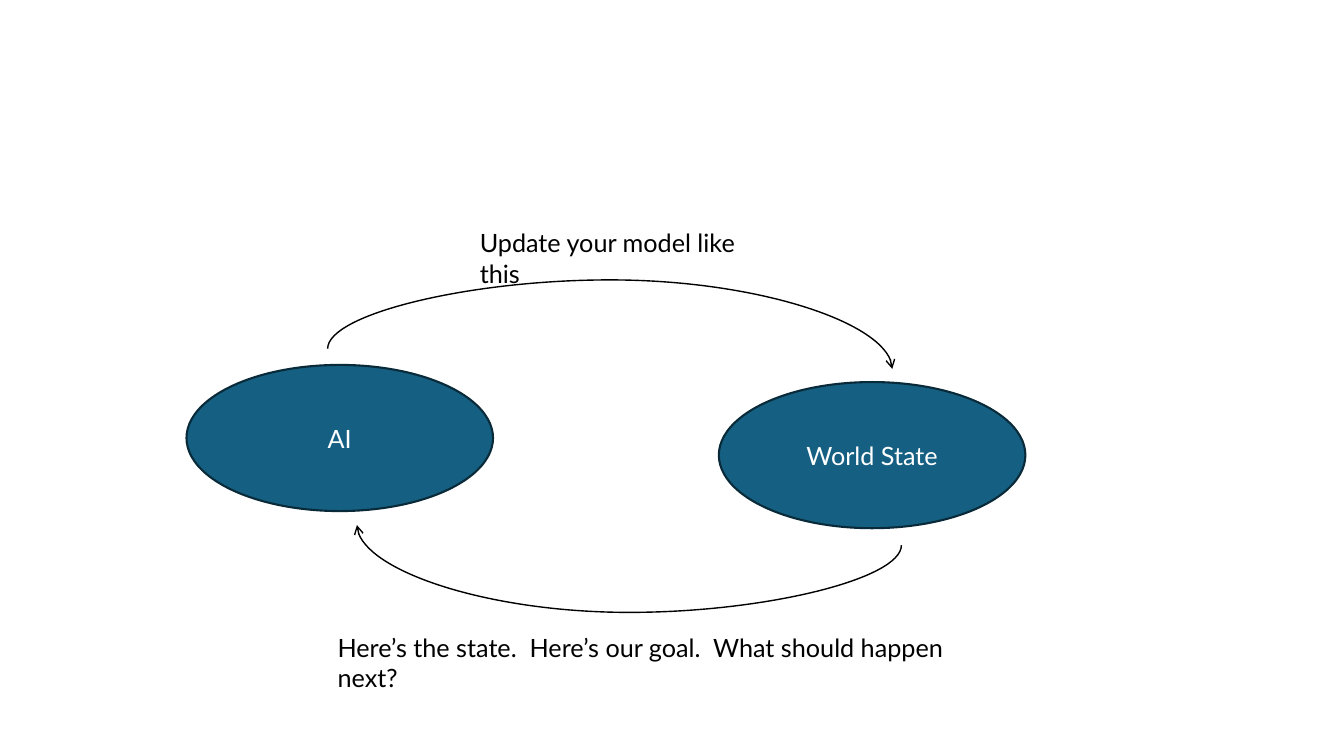
from typing import NamedTuple

from lxml.etree import SubElement
from pptx import Presentation
from pptx.dml.color import RGBColor
from pptx.enum.shapes import MSO_CONNECTOR, MSO_SHAPE
from pptx.enum.text import MSO_ANCHOR, MSO_AUTO_SIZE, PP_ALIGN
from pptx.oxml.ns import qn
from pptx.slide import Slide
from pptx.text.text import TextFrame
from pptx.util import Emu, Pt

EMU_PER_PX = 9144  # 100 px to the inch
NODE_W, NODE_H = 304, 145
LABEL_H = 40
ARROW_DROP = 20


class Node(NamedTuple):
    text: str
    x: int
    y: int


class Label(NamedTuple):
    text: str
    x: int
    y: int
    w: int


class Arc(NamedTuple):
    """A curved arrow; span is its horizontal reach, bulge is in 1/100000 of its drop."""
    cx: int
    cy: int
    span: int
    rotation: int
    bulge: int


NODES = [Node("AI", 185, 362), Node("World State", 713, 379)]
ARCS = [Arc(624, 531, 540, 270, -333200), Arc(605, 356, 560, 90, -341500)]
LABELS = [
    Label("Here’s the state.  Here’s our goal.  What should happen next?", 325, 622, 671),
    Label("Update your model like this", 466, 221, 315),
]


def px(n: int) -> Emu:
    return Emu(n * EMU_PER_PX)


def rgb(color: str) -> RGBColor:
    return RGBColor.from_string(color)


def write(tf: TextFrame, text: str, color: str, align: PP_ALIGN) -> None:
    tf.word_wrap = True
    p = tf.paragraphs[0]
    p.text = text
    p.alignment = align
    p.font.name = "Lato"
    p.font.size = Pt(18)
    p.font.color.rgb = rgb(color)


def add_node(s: Slide, node: Node) -> None:
    sp = s.shapes.add_shape(MSO_SHAPE.OVAL, px(node.x), px(node.y), px(NODE_W), px(NODE_H))
    sp.shadow.inherit = False
    sp.fill.solid()
    sp.fill.fore_color.rgb = rgb("156082")
    sp.line.color.rgb = rgb("092A39")
    sp.line.width = Pt(1.5)
    sp.text_frame.vertical_anchor = MSO_ANCHOR.MIDDLE
    write(sp.text_frame, node.text, "FFFFFF", PP_ALIGN.CENTER)


def add_arc(s: Slide, arc: Arc) -> None:
    """Draw an upright curve about the centre, then turn it on its side."""
    dx, dy = ARROW_DROP // 2, arc.span // 2
    cxn = s.shapes.add_connector(
        MSO_CONNECTOR.CURVE,
        px(arc.cx - dx), px(arc.cy + dy), px(arc.cx + dx), px(arc.cy - dy),
    )
    cxn.line.color.rgb = rgb("000000")
    cxn.line.width = Pt(1)
    spPr = cxn._element.spPr
    spPr.find(qn("a:xfrm")).set("rot", str(arc.rotation * 60000))
    guides = spPr.find(qn("a:prstGeom")).find(qn("a:avLst"))
    SubElement(guides, qn("a:gd"), name="adj1", fmla=f"val {arc.bulge}")
    SubElement(spPr.find(qn("a:ln")), qn("a:tailEnd"), type="arrow")
    SubElement(spPr, qn("a:effectLst"))


def add_label(s: Slide, label: Label) -> None:
    tf = s.shapes.add_textbox(px(label.x), px(label.y), px(label.w), px(LABEL_H)).text_frame
    tf.auto_size = MSO_AUTO_SIZE.SHAPE_TO_FIT_TEXT
    write(tf, label.text, "000000", PP_ALIGN.LEFT)


def main() -> None:
    prs = Presentation()
    prs.slide_width, prs.slide_height = px(1333), px(750)
    s = prs.slides.add_slide(prs.slide_layouts[6])
    for node in NODES:
        add_node(s, node)
    for arc in ARCS:
        add_arc(s, arc)
    for label in LABELS:
        add_label(s, label)
    prs.save("out.pptx")


if __name__ == "__main__":
    main()
